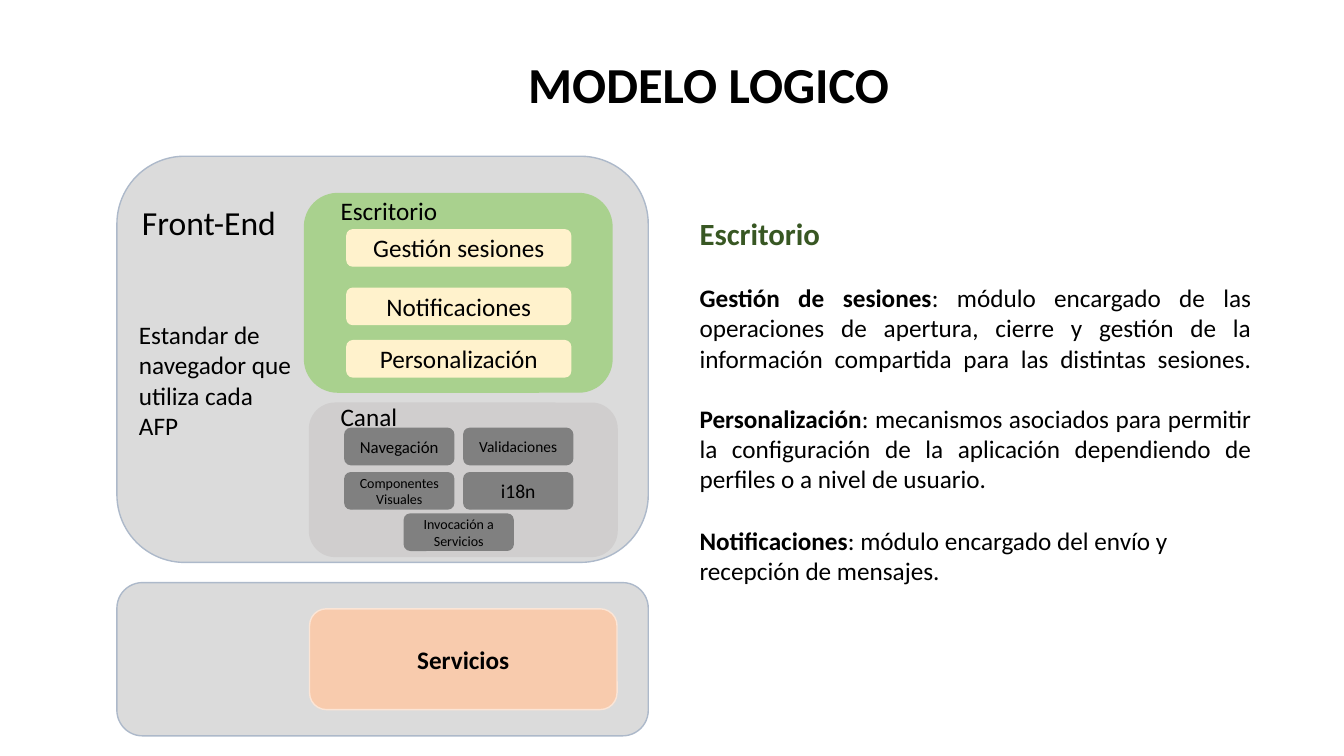
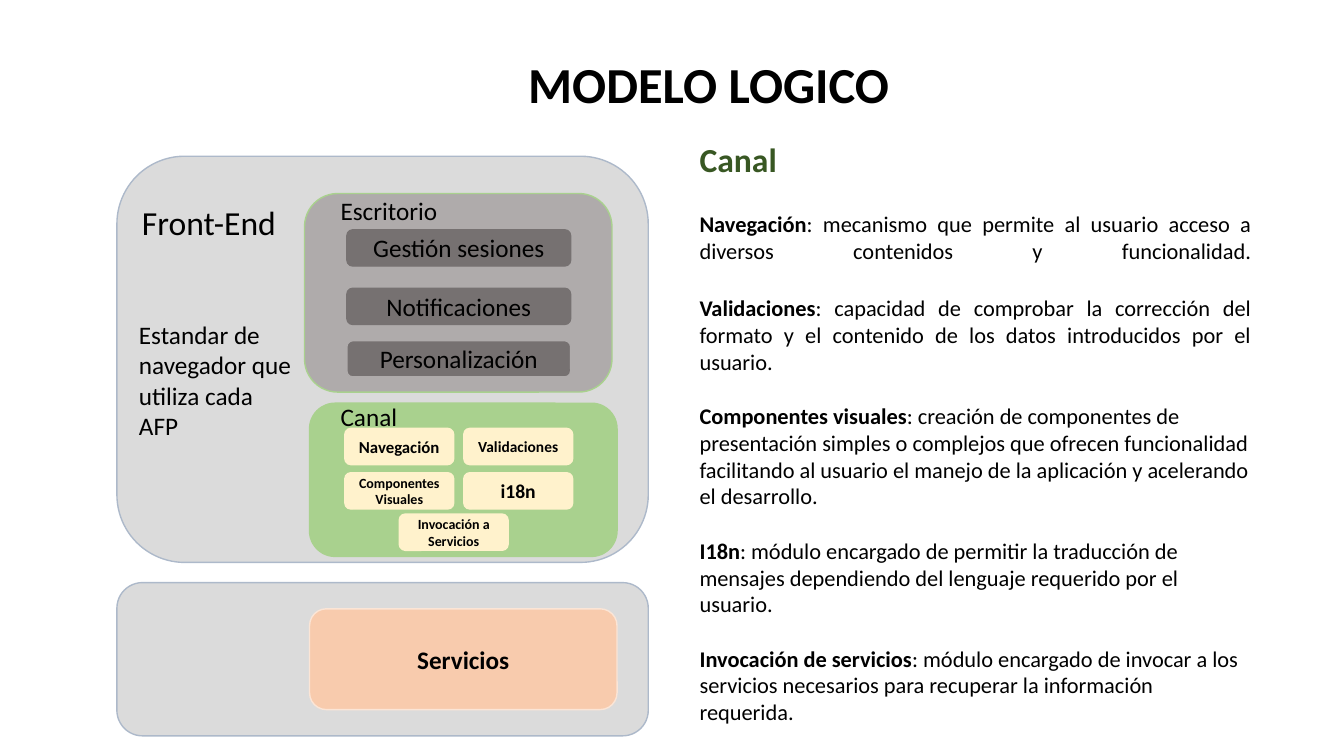
from collections import namedtuple

from pptx import Presentation
from pptx.dml.color import RGBColor
from pptx.enum.shapes import MSO_SHAPE as Shape
from pptx.enum.text import MSO_ANCHOR as Anchor, MSO_AUTO_SIZE as AutoSize, PP_ALIGN as Align
from pptx.util import Inches, Pt

Box = namedtuple("Box", "left top width height")
Look = namedtuple("Look", "panel edge module module_edge last_edge bold")
Entry = namedtuple("Entry", "term meaning gap justified stretched", defaults=(False, False))

FONT = "Calibri"
BLACK, HEADING = "000000", "385723"
FRAME, FRAME_EDGE = "DBDBDB", "ADB9CA"
SERVICES, SERVICES_EDGE = "F8CBAD", "FBE5D6"
GREEN, CREAM = "A9D18E", "FFF2CC"

ACTIVE = Look(GREEN, GREEN, CREAM, CREAM, CREAM, False)
ACTIVE_BOLD = ACTIVE._replace(bold=True)
MUTED_DESKTOP = Look("AFABAB", GREEN, "767171", "767171", "AFABAB", False)
MUTED_CHANNEL = Look("D0CECE", "D0CECE", "808080", "808080", "808080", False)

FRONT_END_BOX = Box(1.16, 1.55, 5.27, 4.03)
BACK_BOX = Box(1.16, 5.78, 5.27, 1.52)
DESKTOP_MODULES = [("Gestión sesiones", 0.36), ("Notificaciones", 0.94), ("Personalización", 1.46)]
CHANNEL_MODULES = [("Navegación", 12), ("Validaciones", 11), ("Componentes Visuales", 10), ("i18n", 14)]


def color(value):
    """Turn a hex string into a colour."""
    return RGBColor.from_string(value)


def inside(box, left, top, width, height):
    """Return a box offset from the corner of another one."""
    return Box(box.left + left, box.top + top, width, height)


def add_run(paragraph, text, size, bold=False, ink=BLACK):
    """Add one formatted run."""
    run = paragraph.add_run()
    run.text = text
    for name, value in {"name": FONT, "size": Pt(size), "bold": bold}.items():
        setattr(run.font, name, value)
    run.font.color.rgb = color(ink)


def add_panel(slide, box, fill, edge, text="", size=18, bold=False):
    """Add a rounded rectangle, with centred text if any is given."""
    shape = slide.shapes.add_shape(Shape.ROUNDED_RECTANGLE, *map(Inches, box))
    shape.shadow.inherit = False
    shape.fill.solid()
    shape.fill.fore_color.rgb = color(fill)
    shape.line.color.rgb = color(edge)
    shape.line.width = Pt(1)
    if text:
        frame = shape.text_frame
        frame.word_wrap = True
        frame.vertical_anchor = Anchor.MIDDLE
        frame.paragraphs[0].alignment = Align.CENTER
        add_run(frame.paragraphs[0], text, size, bold)


def add_text(slide, box, lines, size, bold=False, ink=BLACK, wrap=False):
    """Add a text box with one paragraph a line and return its frame."""
    frame = slide.shapes.add_textbox(*map(Inches, box)).text_frame
    frame.word_wrap = wrap
    frame.auto_size = AutoSize.SHAPE_TO_FIT_TEXT
    for index, line in enumerate(lines):
        paragraph = frame.add_paragraph() if index else frame.paragraphs[0]
        add_run(paragraph, line, size, bold, ink)
    return frame


def add_desktop(slide, box, look):
    """Draw the desktop panel and its stacked modules."""
    add_panel(slide, box, look.panel, look.edge)
    for text, top in DESKTOP_MODULES:
        last = text == DESKTOP_MODULES[-1][0]
        edge = look.last_edge if last else look.module_edge
        add_panel(slide, inside(box, 0.42, top, 2.22, 0.36), look.module, edge, text, bold=look.bold)
    add_text(slide, inside(box, 0.26, -0.03, 1.17, 0.4), ["Escritorio"], 18)


def add_channel(slide, box, look, invocation_left):
    """Draw the channel panel, its two-column grid and the module below."""
    add_panel(slide, box, look.panel, look.edge)
    modules = []
    for index, (text, size) in enumerate(CHANNEL_MODULES):
        row, column = divmod(index, 2)
        modules.append((text, size, 0.35 + column * 1.18, 0.25 + row * 0.44))
    modules.append(("Invocación a Servicios", 10, invocation_left, 1.1))
    for text, size, left, top in modules:
        place = inside(box, left, top, 1.08, 0.36)
        add_panel(slide, place, look.module, look.module_edge, text, size, look.bold)
    add_text(slide, inside(box, 0.21, -0.07, 0.77, 0.4), ["Canal"], 18)


def add_front_end(slide, box, desktop_look, channel_look, invocation_left):
    """Draw the front-end frame with its labels and both panels."""
    add_panel(slide, box, FRAME, FRAME_EDGE)
    add_desktop(slide, inside(box, 1.86, 0.37, 3.05, 1.97), desktop_look)
    add_channel(slide, inside(box, 1.91, 2.45, 3.05, 1.52), channel_look, invocation_left)
    add_text(slide, inside(box, 0.15, 0.4, 1.55, 0.5), ["Front-End"], 24)
    browser = ["Estandar de", "navegador que", "utiliza cada AFP"]
    add_text(slide, inside(box, 0.12, 1.57, 1.74, 1.31), browser, 18, wrap=True)


def add_services(slide, box):
    """Draw the lower frame with the services block."""
    add_panel(slide, box, FRAME, FRAME_EDGE)
    place = inside(box, 1.91, 0.26, 3.05, 1)
    add_panel(slide, place, SERVICES, SERVICES_EDGE, "Servicios", bold=True)


def add_description(slide, box, heading, heading_size, size, entries):
    """Write the heading and the explained terms."""
    frame = add_text(slide, box, [heading], heading_size, True, HEADING, wrap=True)
    for entry in entries:
        paragraph = frame.add_paragraph()
        paragraph.space_before = Pt(entry.gap)
        paragraph.alignment = Align.JUSTIFY if entry.justified else Align.LEFT
        add_run(paragraph, entry.term, size, True)
        add_run(paragraph, ": " + entry.meaning, size)
        if entry.stretched:  # a closing break justifies the last line too
            paragraph.add_line_break()


def add_model_slide(presentation, diagram, description):
    """Add one slide: title, diagram on the left, description on the right."""
    slide = presentation.slides.add_slide(presentation.slide_layouts[6])
    add_text(slide, Box(5.14, 0.48, 3.82, 0.71), ["MODELO LOGICO"], 36, True)
    add_front_end(slide, FRONT_END_BOX, *diagram)
    add_services(slide, BACK_BOX)
    add_description(slide, *description)


DESKTOP_ENTRIES = [
    Entry("Gestión de sesiones", "módulo encargado de las operaciones de apertura, cierre y gestión "
          "de la información compartida para las distintas sesiones.", 22, True, True),
    Entry("Personalización", "mecanismos asociados para permitir la configuración de la aplicación "
          "dependiendo de perfiles o a nivel de usuario.", 0, True),
    Entry("Notificaciones", "módulo encargado del envío y recepción de mensajes.", 22),
]
CHANNEL_ENTRIES = [
    Entry("Navegación", "mecanismo que permite al usuario acceso a diversos contenidos y "
          "funcionalidad.", 22, True, True),
    Entry("Validaciones", "capacidad de comprobar la corrección del formato y el contenido de los "
          "datos introducidos por el usuario.", 0, True),
    Entry("Componentes visuales", "creación de componentes de presentación simples o complejos que "
          "ofrecen funcionalidad facilitando al usuario el manejo de la aplicación y acelerando el "
          "desarrollo.", 19.5),
    Entry("I18n", "módulo encargado de permitir la traducción de mensajes dependiendo del lenguaje "
          "requerido por el usuario.", 19.5),
    Entry("Invocación de servicios", "módulo encargado de invocar a los servicios necesarios para "
          "recuperar la información requerida.", 19.5),
]

presentation = Presentation()
presentation.slide_width, presentation.slide_height = Inches(13.33), Inches(7.5)
add_model_slide(presentation, (ACTIVE, MUTED_CHANNEL, 0.94),
                (Box(6.84, 2.08, 5.67, 4.11), "Escritorio", 22, 18, DESKTOP_ENTRIES))
add_model_slide(presentation, (MUTED_DESKTOP, ACTIVE_BOLD, 0.89),
                (Box(6.84, 1.33, 5.67, 5.92), "Canal", 24, 16, CHANNEL_ENTRIES))
presentation.save("out.pptx")
